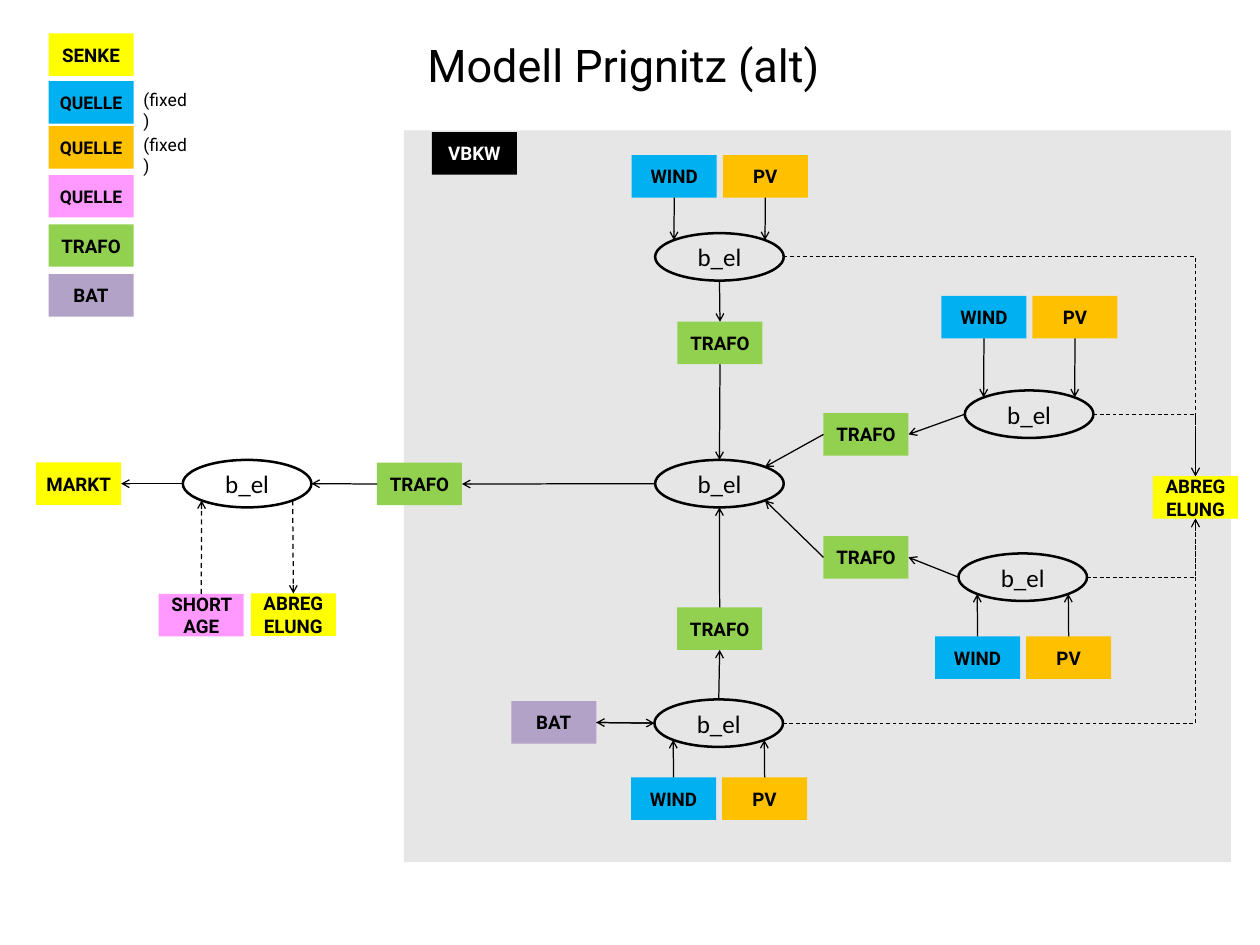
"""Builds the slide with the energy system model of Prignitz."""
from lxml import etree
from pptx import Presentation
from pptx.dml.color import RGBColor
from pptx.enum.dml import MSO_LINE
from pptx.enum.shapes import MSO_CONNECTOR, MSO_SHAPE
from pptx.enum.text import MSO_ANCHOR, PP_ALIGN
from pptx.oxml.ns import qn
from pptx.util import Cm, Pt

RECTANGLE, OVAL = MSO_SHAPE.RECTANGLE, MSO_SHAPE.OVAL
STRAIGHT, ELBOW = MSO_CONNECTOR.STRAIGHT, MSO_CONNECTOR.ELBOW
DASH = MSO_LINE.DASH
CENTER, LEFT = PP_ALIGN.CENTER, PP_ALIGN.LEFT
MIDDLE, TOP = MSO_ANCHOR.MIDDLE, MSO_ANCHOR.TOP

BLACK, WHITE, GREY = "000000", "FFFFFF", "E6E6E6"
SINK, WIND, SOLAR = "FFFF00", "00B0F0", "FFC000"
SOURCE, TRANSFORMER, BATTERY = "FF99FF", "92D050", "B3A2C7"

BOX_WIDTH, BOX_HEIGHT = 2.4, 1.2
BUS_WIDTH, BUS_HEIGHT = 3.63, 1.34
NEAR, FAR = 0.146, 0.854
SITES = {
    "top": (0.5, 0), "bottom": (0.5, 1), "left": (0, 0.5), "right": (1, 0.5),
    "top left": (NEAR, NEAR), "top right": (FAR, NEAR),
    "bottom left": (NEAR, FAR), "bottom right": (FAR, FAR),
}


def color(value):
    """Return the colour for a hex string."""
    return RGBColor.from_string(value)


def write(shape, text, size=15, font="Roboto", bold=False, ink=BLACK,
          align=CENTER, anchor=MIDDLE, wrap=True):
    """Put formatted text into a shape."""
    frame = shape.text_frame
    frame.word_wrap = wrap
    frame.vertical_anchor = anchor
    paragraph = frame.paragraphs[0]
    paragraph.alignment = align
    run = paragraph.add_run()
    run.text = text
    run.font.size = Pt(size)
    run.font.name = font
    run.font.bold = bold
    run.font.color.rgb = color(ink)


def add_panel(slide, left, top, width, height, fill):
    """Add a plain filled rectangle."""
    shape = slide.shapes.add_shape(RECTANGLE, Cm(left), Cm(top), Cm(width), Cm(height))
    shape.shadow.inherit = False
    shape.fill.solid()
    shape.fill.fore_color.rgb = color(fill)
    shape.line.fill.background()
    return shape


def add_box(slide, left, top, text, fill, **text_format):
    """Add a component box with a bold label."""
    shape = add_panel(slide, left, top, BOX_WIDTH, BOX_HEIGHT, fill)
    write(shape, text, bold=True, **text_format)
    return shape


def add_bus(slide, left, top):
    """Add an electricity bus."""
    shape = slide.shapes.add_shape(OVAL, Cm(left), Cm(top), Cm(BUS_WIDTH), Cm(BUS_HEIGHT))
    shape.shadow.inherit = False
    shape.fill.background()
    shape.line.color.rgb = color(BLACK)
    shape.line.width = Pt(2)
    write(shape, "b_el", size=20, font="Calibri", wrap=False)
    return shape


def add_label(slide, left, top, width, height, text, **text_format):
    """Add a text box."""
    shape = slide.shapes.add_textbox(Cm(left), Cm(top), Cm(width), Cm(height))
    write(shape, text, align=LEFT, anchor=TOP, **text_format)


def locate(shape, site):
    """Return the point of a named connection site."""
    across, down = SITES[site]
    return int(shape.left + shape.width * across), int(shape.top + shape.height * down)


def link(slide, start, start_site, end, end_site, kind=STRAIGHT, width=1, dashed=False):
    """Draw an arrow between the sites of two shapes."""
    connector = slide.shapes.add_connector(
        kind, *locate(start, start_site), *locate(end, end_site))
    connector.line.color.rgb = color(BLACK)
    connector.line.width = Pt(width)
    if dashed:
        connector.line.dash_style = DASH
    properties = connector._element.spPr
    if kind == ELBOW:
        properties.find(qn("a:prstGeom")).set("prst", "bentConnector2")
    etree.SubElement(properties.find(qn("a:ln")), qn("a:tailEnd"), type="arrow")
    etree.SubElement(properties, qn("a:effectLst"))


def add_farm(slide, left, top, offset):
    """Add a bus fed by wind and solar boxes at a vertical offset."""
    bus = add_bus(slide, left, top)
    box_site, bus_site = ("bottom", "top") if offset < 0 else ("top", "bottom")
    sources = (("WIND", WIND, "left"), ("PV", SOLAR, "right"))
    for index, (text, fill, side) in enumerate(sources):
        box = add_box(slide, left - 0.66 + index * 2.57, top + offset, text, fill)
        link(slide, box, box_site, bus, f"{bus_site} {side}")
    return bus


def add_power_plant(slide, left, top, width, height):
    """Add the virtual power plant and return its grid transformer."""
    add_panel(slide, left, top, width, height, GREY)
    add_box(slide, left + 0.79, top + 0.05, "VBKW", BLACK, ink=WHITE)
    center = add_bus(slide, left + 7.09, top + 9.3)
    curtailment = add_box(slide, left + 21.14, top + 9.76, "ABREGELUNG", SINK)
    branches = (
        (7.09, 2.9, -2.2, 7.72, 5.4, "bottom", "top", "bottom", "top", "top"),
        (15.83, 7.34, -2.67, 11.84, 7.98, "left", "right", "left", "top right", "top"),
        (15.65, 11.94, 2.34, 11.84, 11.45, "left", "right", "left", "bottom right", "bottom"),
        (7.07, 16.06, 2.2, 7.71, 13.46, "top", "bottom", "top", "bottom", "bottom"),
    )
    for (bus_left, bus_top, offset, box_left, box_top,
         bus_exit, box_entry, box_exit, center_entry, sink_entry) in branches:
        bus = add_farm(slide, left + bus_left, top + bus_top, offset)
        transformer = add_box(slide, left + box_left, top + box_top, "TRAFO", TRANSFORMER)
        link(slide, bus, bus_exit, transformer, box_entry)
        link(slide, transformer, box_exit, center, center_entry)
        link(slide, bus, "right", curtailment, sink_entry,
             kind=ELBOW, width=0.75, dashed=True)
    battery = add_box(slide, left + 3.03, top + 16.11, "BAT", BATTERY)
    link(slide, battery, "right", bus, "left")
    link(slide, bus, "left", battery, "right")
    grid = add_box(slide, left - 0.76, top + 9.38, "TRAFO", TRANSFORMER)
    link(slide, center, "left", grid, "right")
    return grid


def add_market(slide, left, top, grid):
    """Add the market side, fed by the grid transformer."""
    bus = add_bus(slide, left + 4.14, top)
    market = add_box(slide, left, top + 0.07, "MARKT", SINK)
    shortage = add_box(slide, left + 3.46, top + 3.78, "SHORTAGE", SOURCE)
    curtailment = add_box(slide, left + 6.06, top + 3.77, "ABREGELUNG", SINK)
    link(slide, grid, "left", bus, "right")
    link(slide, bus, "left", market, "right")
    link(slide, bus, "bottom right", curtailment, "top", dashed=True)
    link(slide, shortage, "top", bus, "bottom left", dashed=True)


def add_legend(slide, left, top):
    """Add the legend of component types."""
    entries = (
        (0, "SENKE", SINK, 15, ""), (1.35, "QUELLE", WIND, 14, "(fixed)"),
        (2.62, "QUELLE", SOLAR, 14, "(fixed)"), (4, "QUELLE", SOURCE, 14, ""),
        (5.39, "TRAFO", TRANSFORMER, 15, ""), (6.8, "BAT", BATTERY, 15, ""),
    )
    for offset, text, fill, size, note in entries:
        add_box(slide, left, top + offset, text, fill, size=size)
        if note:
            add_label(slide, left + 2.43, top + offset + 0.11, 1.88, 0.86, note, size=14)


def main():
    """Build and save the presentation."""
    presentation = Presentation()
    presentation.slide_width, presentation.slide_height = Cm(35.56), Cm(26.67)
    slide = presentation.slides.add_slide(presentation.slide_layouts[6])
    grid = add_power_plant(slide, 11.4, 3.68, 23.34, 20.65)
    add_market(slide, 1.02, 12.98, grid)
    add_legend(slide, 1.37, 0.94)
    add_label(slide, 11.81, 0.94, 11.61, 1.8, "Modell Prignitz (alt)", size=36, wrap=False)
    presentation.save("out.pptx")


if __name__ == "__main__":
    main()
